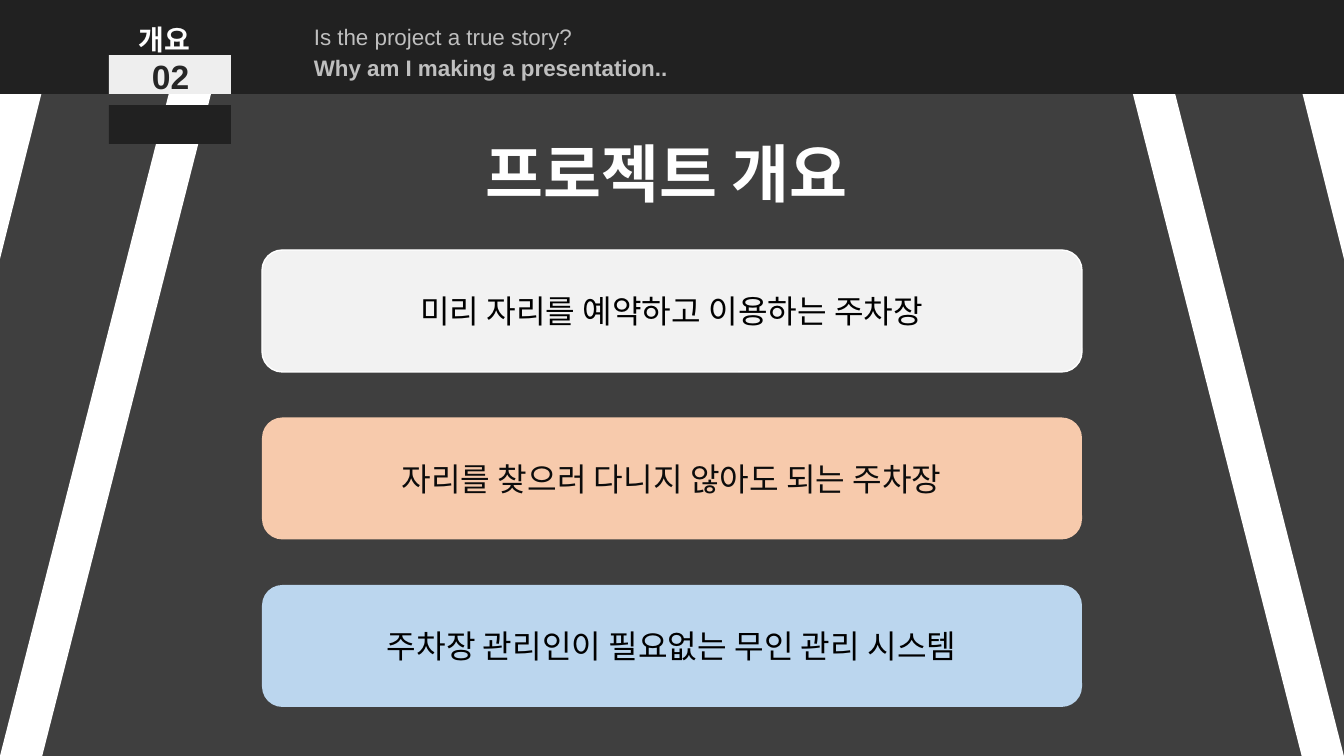
import pptx
import pptx.dml.color
import pptx.enum.shapes
import pptx.enum.text
import pptx.oxml
import pptx.oxml.ns
import pptx.util
from dataclasses import dataclass

SHAPES = pptx.enum.shapes.MSO_SHAPE
ALIGN = pptx.enum.text.PP_ALIGN
SLIDE_W, SLIDE_H = 1344, 756
EMU_PER_PX = 914400 / 100.8


@dataclass(frozen=True)
class Theme:
    latin: str = "Arial"
    korean: str = "Noto Sans CJK KR"
    asphalt: str = "3F3F3F"
    header: str = "212121"
    white: str = "FFFFFF"
    badge: str = "EEEEEE"
    number: str = "262626"
    subtitle: str = "BFBFBF"
    black: str = "000000"
    soft_black: str = "0C0C0C"
    grey_card: str = "F2F2F2"
    orange_card: str = "F7CAAC"
    blue_card: str = "BBD6EE"
    title_size: int = 45
    number_size: int = 24
    card_size: int = 23
    section_size: int = 20
    subtitle_size: int = 16


THEME = Theme()


def px(length):
    return round(length * EMU_PER_PX)


def rgb(color):
    return pptx.dml.color.RGBColor.from_string(color)


def paint(shape, fill, outline=None):
    shape.shadow.inherit = False
    shape.fill.solid()
    shape.fill.fore_color.rgb = rgb(fill)
    if outline:
        shape.line.color.rgb = rgb(outline)
        shape.line.width = pptx.util.Pt(1)
    else:
        shape.line.fill.background()


def add_block(slide, kind, box, fill, outline=None):
    block = slide.shapes.add_shape(kind, *map(px, box))
    paint(block, fill, outline)
    return block


def style_paragraph(paragraph, size, color, font=THEME.latin, bold=False,
                    align=ALIGN.LEFT, spacing=None):
    paragraph.alignment = align
    if spacing:
        paragraph.line_spacing = spacing
    for run in paragraph.runs:
        run.font.name = font
        run.font.size = pptx.util.Pt(size)
        run.font.bold = bold
        run.font.color.rgb = rgb(color)
        east_asian = pptx.oxml.parse_xml(
            f'<a:ea {pptx.oxml.ns.nsdecls("a")} typeface="{THEME.korean}"/>')
        run.font._element.find(pptx.oxml.ns.qn("a:latin")).addnext(east_asian)


def add_text(slide, box, text):
    frame = slide.shapes.add_textbox(*map(px, box)).text_frame
    frame.word_wrap = True
    frame.text = text
    return frame.paragraphs


def add_parking_lines(slide, box):
    """Draw a long slanted line and a cut-off corner line on each side of the box."""
    left, top, width, height = box
    line_w = 235
    corner = [(23, 0), (65, 0), (0, 259), (0, 93)]
    for mirrored in (False, True):
        line_left = left + width - line_w if mirrored else left
        line = add_block(slide, SHAPES.PARALLELOGRAM,
                         (line_left, top, line_w, height), THEME.white)
        line.adjustments[0] = 0.82
        if mirrored:
            line.element.spPr.xfrm.set("flipH", "1")

        points = [(left + (width - x if mirrored else x), top + y) for x, y in corner]
        outline = slide.shapes.build_freeform(*points[0], scale=EMU_PER_PX)
        outline.add_line_segments(points[1:], close=True)
        paint(outline.convert_to_shape(), THEME.white)


def add_header(slide, box):
    left, top, width, height = box
    add_block(slide, SHAPES.RECTANGLE, box, THEME.header)

    section, = add_text(slide, (left + 129, top + 1, 215, 61), "개요")
    style_paragraph(section, THEME.section_size, THEME.white, bold=True, spacing=1.5)

    question, reason = add_text(
        slide, (left + 304, top + 5, 532, 82),
        "Is the project a true story?\nWhy am I making a presentation..")
    style_paragraph(question, THEME.subtitle_size, THEME.subtitle, spacing=1.5)
    style_paragraph(reason, THEME.subtitle_size, THEME.subtitle, bold=True, spacing=1.15)

    badge_w, badge_h = 122, 39
    for badge_top, fill in ((height - badge_h, THEME.badge), (height + 11, THEME.header)):
        add_block(slide, SHAPES.RECTANGLE,
                  (left + 109, top + badge_top, badge_w, badge_h), fill)
    number, = add_text(slide, (left + 142, top + 51, 58, 50), "02")
    style_paragraph(number, THEME.number_size, THEME.number, bold=True)


def add_title(slide, box):
    title, = add_text(slide, box, "프로젝트 개요")
    style_paragraph(title, THEME.title_size, THEME.white, THEME.korean, True, ALIGN.CENTER)


def add_cards(slide, box):
    """Stack the three statements with equal gaps over the height of the box."""
    left, top, width, height = box
    card_h = 122
    cards = [
        ("미리 자리를 예약하고 이용하는 주차장", THEME.grey_card, THEME.black, THEME.white),
        ("자리를 찾으러 다니지 않아도 되는 주차장", THEME.orange_card, THEME.soft_black, None),
        ("주차장 관리인이 필요없는 무인 관리 시스템", THEME.blue_card, THEME.black, None),
    ]
    pitch = (height - card_h) / (len(cards) - 1)
    for index, (statement, fill, color, outline) in enumerate(cards):
        card = add_block(slide, SHAPES.ROUNDED_RECTANGLE,
                         (left, top + index * pitch, width, card_h), fill, outline)
        card.adjustments[0] = 0.167
        frame = card.text_frame
        frame.word_wrap = True
        frame.vertical_anchor = pptx.enum.text.MSO_ANCHOR.MIDDLE
        frame.text = statement
        style_paragraph(frame.paragraphs[0], THEME.card_size, color, THEME.korean,
                        align=ALIGN.CENTER)


def build_overview_slide(presentation):
    slide = presentation.slides.add_slide(presentation.slide_layouts[6])
    slide.background.fill.solid()
    slide.background.fill.fore_color.rgb = rgb(THEME.asphalt)
    add_parking_lines(slide, (0, 0, SLIDE_W, SLIDE_H))
    add_header(slide, (0, 0, SLIDE_W, 94))
    add_title(slide, (313, 130, 707, 85))
    add_cards(slide, (262, 250, 820, 457))


def main():
    presentation = pptx.Presentation()
    presentation.slide_width = px(SLIDE_W)
    presentation.slide_height = px(SLIDE_H)
    build_overview_slide(presentation)
    presentation.save("out.pptx")


if __name__ == "__main__":
    main()
